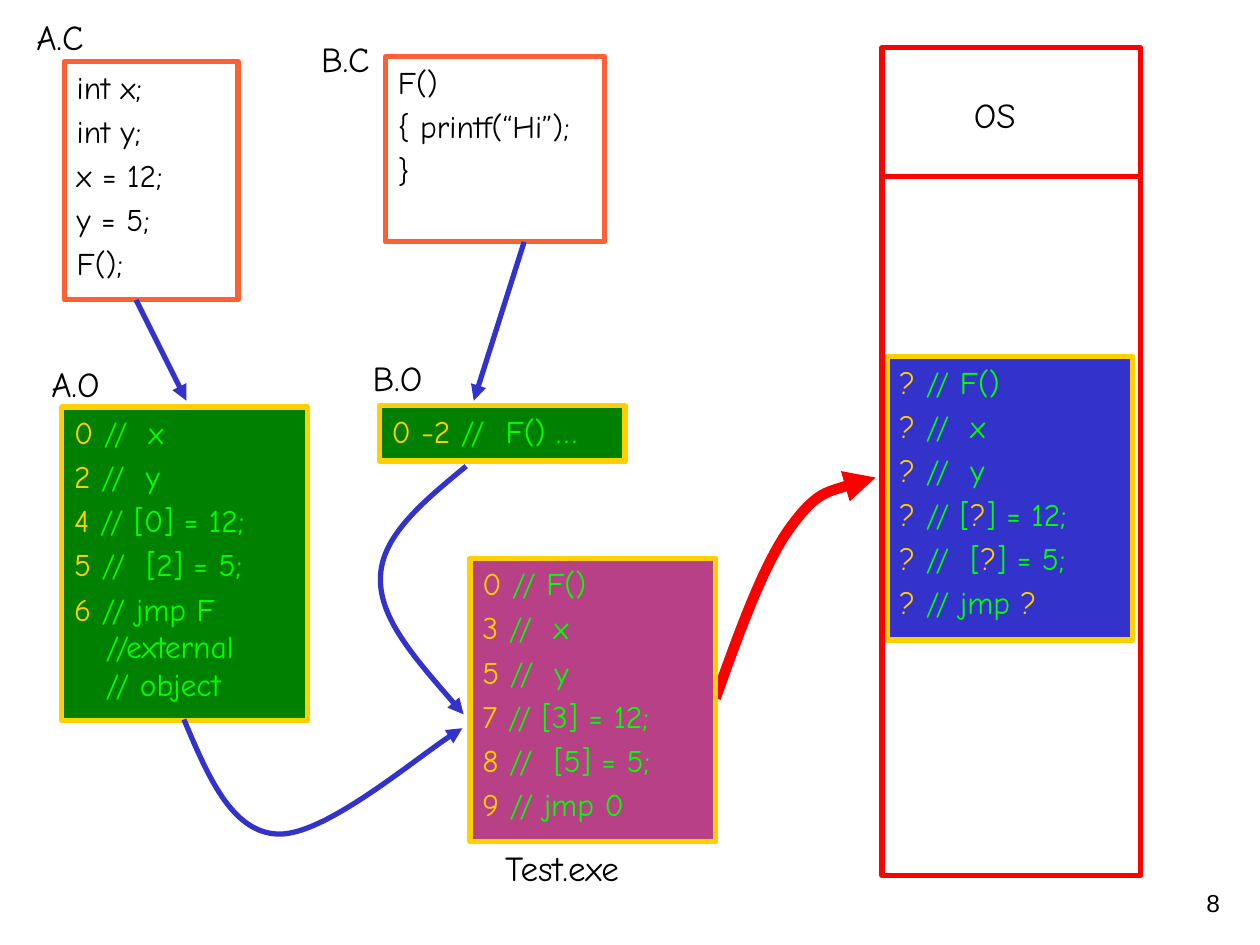
from itertools import cycle

from lxml import etree
from pptx import Presentation
from pptx import util as u
from pptx.dml.color import RGBColor
from pptx.enum import shapes, text
from pptx.oxml.ns import qn

BLACK = RGBColor(0x00, 0x00, 0x00)
ORANGE = RGBColor(0xFD, 0x60, 0x35)
YELLOW = RGBColor(0xFF, 0xCF, 0x01)
LIME = RGBColor(0x00, 0xFF, 0x00)
GREEN = RGBColor(0x00, 0x80, 0x00)
PURPLE = RGBColor(0xB8, 0x40, 0x87)
BLUE = RGBColor(0x33, 0x33, 0xCC)
RED = RGBColor(0xFF, 0x00, 0x00)

COLUMNS, ROWS = 100, 75


class LinkingSlide:
    font = "Comic Neue"
    code_size = u.Pt(18)
    label_size = u.Pt(20)
    code_spacing = u.Pt(3.6)
    stroke = 3

    def __init__(self, presentation):
        self.cell_width = presentation.slide_width / COLUMNS
        self.cell_height = presentation.slide_height / ROWS
        self.slide = presentation.slides.add_slide(presentation.slide_layouts[6])

    def point(self, column, row):
        return round(column * self.cell_width), round(row * self.cell_height)

    def place(self, column, row, width, height):
        return *self.point(column, row), *self.point(width, height)

    def outline(self, shape, color, width=stroke, arrow=False):
        shape.line.color.rgb = color
        shape.line.width = u.Pt(width)
        if arrow:
            line = shape.line._get_or_add_ln()
            etree.SubElement(line, qn("a:tailEnd"), type="triangle")

    def box(self, place, color, fill=None):
        shape = self.slide.shapes.add_shape(
            shapes.MSO_SHAPE.RECTANGLE, *self.place(*place))
        shape.shadow.inherit = False
        if fill is None:
            shape.fill.background()
        else:
            shape.fill.solid()
            shape.fill.fore_color.rgb = fill
        self.outline(shape, color)
        return shape

    def code(self, place, lines, color=YELLOW, fill=None, colors=(YELLOW, LIME)):
        frame = self.box(place, color, fill).text_frame
        frame.word_wrap = True
        frame.vertical_anchor = text.MSO_ANCHOR.TOP
        for index, parts in enumerate(lines):
            paragraph = frame.paragraphs[0] if index == 0 else frame.add_paragraph()
            paragraph.alignment = text.PP_ALIGN.LEFT
            paragraph.space_before = self.code_spacing
            paragraph.font.name = self.font
            paragraph.font.size = self.code_size
            for part, part_color in zip(parts, cycle(colors)):
                self.add_runs(paragraph, part, part_color)

    def add_runs(self, paragraph, content, color):
        for index, line in enumerate(content.split("\n")):
            if index == 1:
                hanging = u.Inches(0.25)
                properties = paragraph._p.get_or_add_pPr()
                properties.set("marL", str(hanging))
                properties.set("indent", str(-hanging))
            if index:
                paragraph.add_line_break()
            run = paragraph.add_run()
            run.text = line
            run.font.color.rgb = color

    def label(self, place, content, font=font, size=label_size, wrap=False,
              align=text.PP_ALIGN.LEFT, anchor=text.MSO_ANCHOR.TOP):
        frame = self.slide.shapes.add_textbox(*self.place(*place)).text_frame
        frame.word_wrap = wrap
        frame.vertical_anchor = anchor
        paragraph = frame.paragraphs[0]
        paragraph.text = content
        paragraph.alignment = align
        paragraph.font.name = font
        paragraph.font.size = size
        paragraph.font.color.rgb = BLACK

    def line(self, start, end, color, arrow=False):
        connector = self.slide.shapes.add_connector(
            shapes.MSO_CONNECTOR.STRAIGHT, *self.point(*start), *self.point(*end))
        self.outline(connector, color, arrow=arrow)
        etree.SubElement(connector._element.spPr, qn("a:effectLst"))

    def curve(self, points, color, width=stroke):
        start, *others = [self.point(*point) for point in points]
        builder = self.slide.shapes.build_freeform(*start)
        builder.add_line_segments(others, close=False)
        shape = builder.convert_to_shape()
        shape.shadow.inherit = False
        shape.fill.background()
        self.outline(shape, color, width, arrow=True)
        segments = list(shape._element.iter(qn("a:lnTo")))
        outline = segments[0].getparent()
        for first in range(0, len(segments), 3):
            bezier = etree.SubElement(outline, qn("a:cubicBezTo"))
            for segment in segments[first:first + 3]:
                bezier.append(segment[0])
                outline.remove(segment)


presentation = Presentation()
presentation.slide_width = u.Inches(10)
presentation.slide_height = u.Inches(7.5)
slide = LinkingSlide(presentation)

slide.curve([(56.8, 55.4), (58.7, 50.1), (60.6, 44.8), (62.7, 41.9),
             (64.8, 39), (67.2, 38.5), (69.5, 37.9)], RED, 6)

source_a = [["int x;"], ["int y;"], ["x = 12;"], ["y = 5;"], ["F();"]]
source_b = [["F()"], ["{ printf(“Hi”);"], ["}"]]
slide.code((5.1, 4.9, 13.8, 18.9), source_a, ORANGE, colors=[BLACK])
slide.code((30.6, 4.5, 17.4, 14.7), source_b, ORANGE, colors=[BLACK])

object_a = [["0 ", "//  x"], ["2 ", "//  y"], ["4 ", "// [0] = 12;"],
            ["5 ", "//  [2] = 5;"], ["6 ", "// jmp F\n//external\n// object"]]
object_b = [["0 -2 ", "//  F() …"]]
executable = [["0 ", "// F()"], ["3", " //  x"], ["5 ", "//  y"],
              ["7 ", "// [3] = 12;"], ["8 ", "//  [5] = 5;"], ["9 ", "// jmp 0"]]
loaded = [["? ", "// F()"], ["?", " //  x"], ["? ", "//  y"],
          ["? ", "// [", "?", "] = 12;"], ["? ", "//  [", "?", "] = 5;"],
          ["? ", "// jmp ", "?"]]
for place, lines, fill in [
    ((4.9, 32.3, 19.5, 24.9), object_a, GREEN),
    ((30.1, 32.2, 19.5, 4.4), object_b, GREEN),
    ((37.3, 44.3, 19.5, 22.5), executable, PURPLE),
    ((70.4, 28.3, 19.5, 22.5), loaded, BLUE),
]:
    slide.code(place, lines, fill=fill)

slide.box((70, 3.8, 20.5, 65.7), RED)
slide.line((70, 14), (90.5, 14), RED)

for column, row, width, content in [
    (1.9, 0.7, 6.4, "A.C"),
    (24.5, 2.5, 6.6, "B.C"),
    (3.1, 28.3, 7, "A.O"),
    (28.6, 27.8, 6.7, "B.O"),
    (76.3, 6.9, 6.2, "OS"),
    (39.1, 66.7, 13.5, "Test.exe"),
]:
    slide.label((column, row, width, 4.3), content)

slide.line((10.8, 23.8), (14.8, 31.8), BLUE, arrow=True)
slide.line((41.6, 19.2), (37.6, 31.8), BLUE, arrow=True)
slide.curve([(14.6, 57.1), (16.5, 61.6), (18.4, 66.1), (22.1, 66.2),
             (25.7, 66.3), (34.2, 59.2), (36.7, 57.8)], BLUE)
slide.curve([(37, 37), (33.6, 39.8), (30.2, 42.6), (30.2, 45.9),
             (30.1, 49.1), (33.5, 52.9), (36.8, 56.7)], BLUE)

slide.label((77, 68.3, 20.8, 5), "8", "Arial", u.Pt(14), True,
            text.PP_ALIGN.RIGHT, text.MSO_ANCHOR.BOTTOM)

presentation.save("out.pptx")
